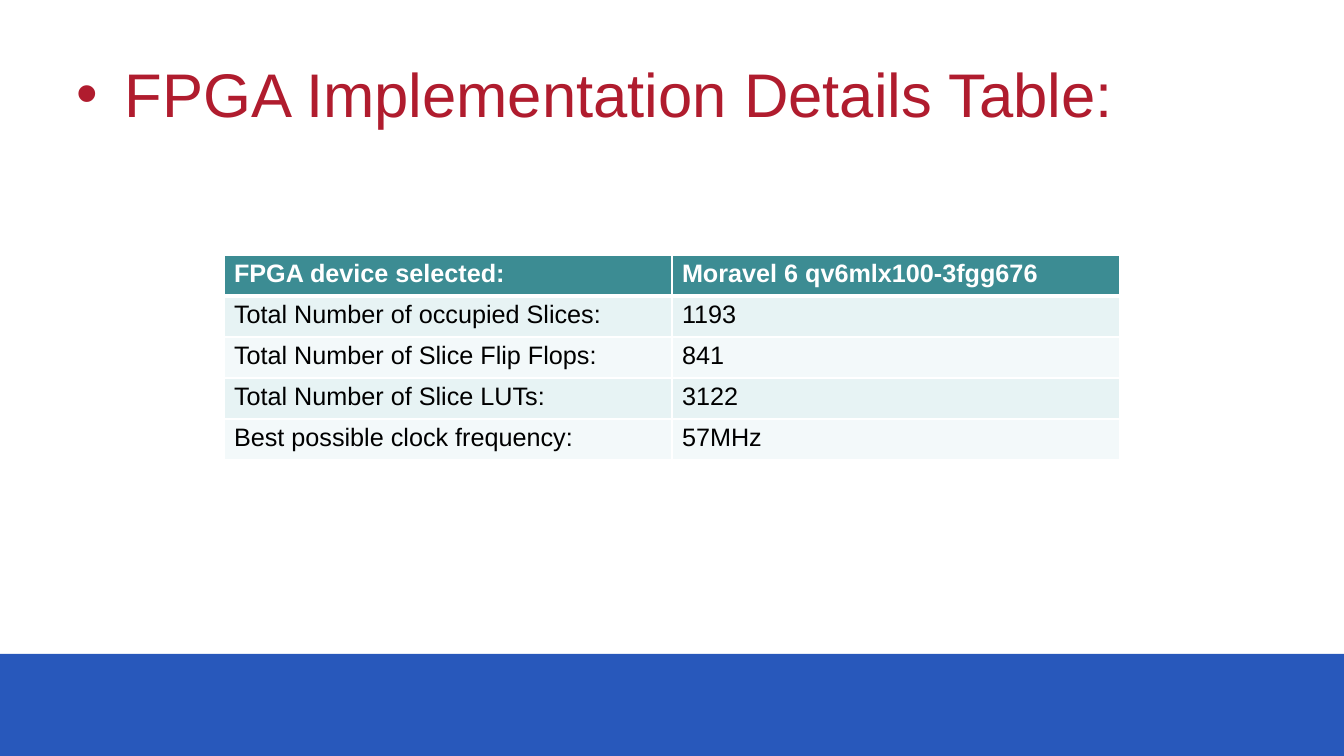
"""Build the FPGA implementation details slide."""
import pptx
import pptx.util
import pptx.dml.color
import pptx.enum.shapes
import pptx.enum.text
import pptx.oxml
import lxml.etree

TITLE = "FPGA Implementation Details Table:"
ROWS = [
    ("FPGA device selected:", "Moravel 6 qv6mlx100-3fgg676"),
    ("Total Number of occupied Slices:", "1193"),
    ("Total Number of Slice Flip Flops:", "841"),
    ("Total Number of Slice LUTs:", "3122"),
    ("Best possible clock frequency:", "57MHz"),
]
WHITE, BLACK, RED, BLUE, TEAL = "FFFFFF", "000000", "B01C2E", "2858BB", "3C8C93"
BANDS = ("F3F9FA", "E7F3F4")
WIDE, HIGH = 1344, 756
COL, ROW = 448, 41
SCALE = 914400 / 100.8
NS = "http://schemas.openxmlformats.org/drawingml/2006/main"


def px(*nums):
    return [pptx.util.Emu(round(n * SCALE)) for n in nums]


def paint(color):
    return pptx.dml.color.RGBColor.from_string(color)


def write(para, text, size, color, bold=False):
    run = para.add_run()
    run.text = text
    font = run.font
    font.name, font.size, font.bold = "Arial", pptx.util.Pt(size), bold
    font.color.rgb = paint(color)


def edge(cell, low):
    props = cell._tc.get_or_add_tcPr()
    sides = (("lnL", 1), ("lnR", 1), ("lnT", 1), ("lnB", low))
    for spot, (side, width) in enumerate(sides):
        line = pptx.oxml.parse_xml(
            f'<a:{side} xmlns:a="{NS}" w="{width * 12700}"><a:solidFill>'
            f'<a:srgbClr val="{WHITE}"/></a:solidFill></a:{side}>')
        props.insert(spot, line)


deck = pptx.Presentation()
deck.slide_width, deck.slide_height = px(WIDE, HIGH)
slide = deck.slides.add_slide(deck.slide_layouts[6])
shapes = slide.shapes

band = shapes.add_shape(pptx.enum.shapes.MSO_SHAPE.RECTANGLE, *px(0, 654, WIDE, HIGH - 654))
band.shadow.inherit = False
band.fill.solid()
band.fill.fore_color.rgb = paint(BLUE)
band.line.fill.background()

frame = shapes.add_textbox(*px(67, 30, 1210, 126)).text_frame
frame.word_wrap = True
frame.vertical_anchor = pptx.enum.text.MSO_ANCHOR.MIDDLE
head = frame.paragraphs[0]
write(head, TITLE, 44, RED)
props = head._p.get_or_add_pPr()
dent = px(48)[0]
props.set("marL", str(dent))
props.set("indent", str(-dent))
lxml.etree.SubElement(props, f"{{{NS}}}buFont", typeface="Arial")
lxml.etree.SubElement(props, f"{{{NS}}}buChar", char="•")

size = px((WIDE - 2 * COL) / 2, 255, 2 * COL, ROW * len(ROWS))
table = shapes.add_table(len(ROWS), 2, *size).table
for col in table.columns:
    col.width = px(COL)[0]
for r, texts in enumerate(ROWS):
    table.rows[r].height = px(ROW)[0]
    top = r == 0
    for c, text in enumerate(texts):
        cell = table.cell(r, c)
        cell.fill.solid()
        cell.fill.fore_color.rgb = paint(TEAL if top else BANDS[r % 2])
        edge(cell, 3 if top else 1)
        write(cell.text_frame.paragraphs[0], text, 18, WHITE if top else BLACK, top)

deck.save("out.pptx")
